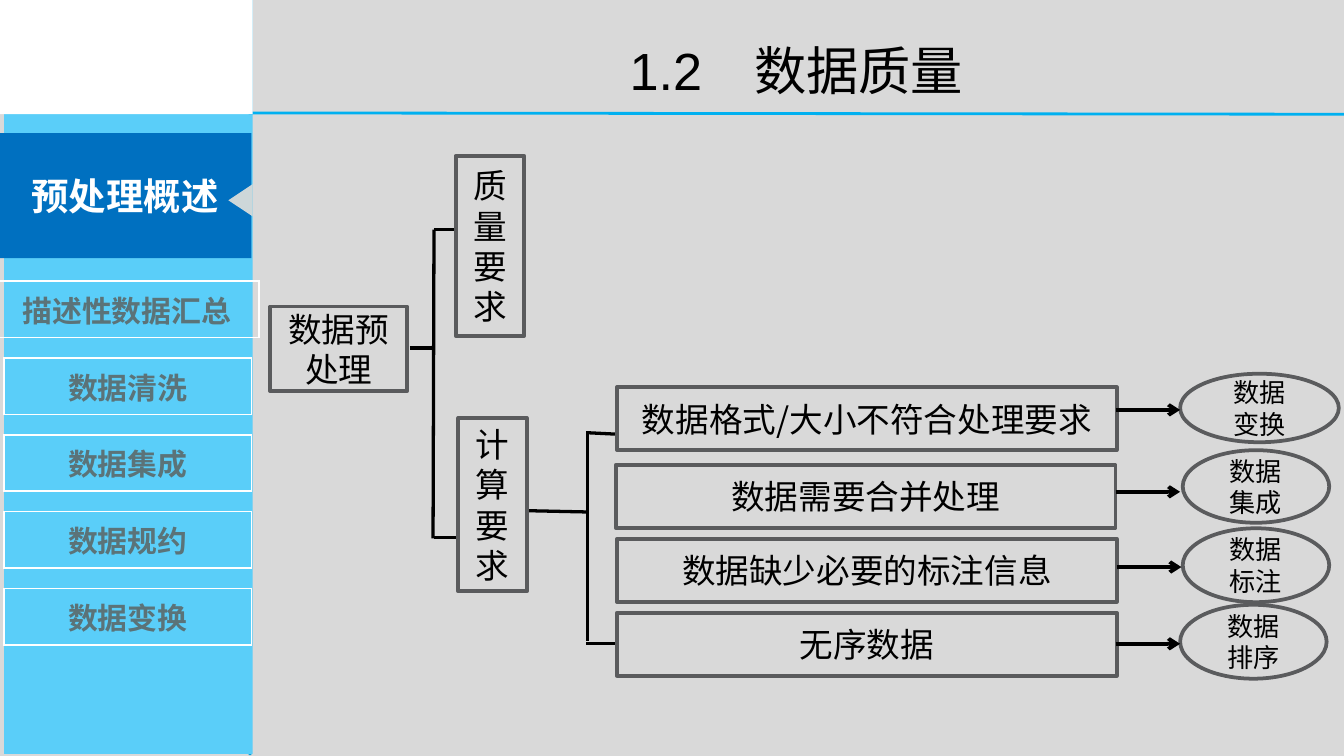
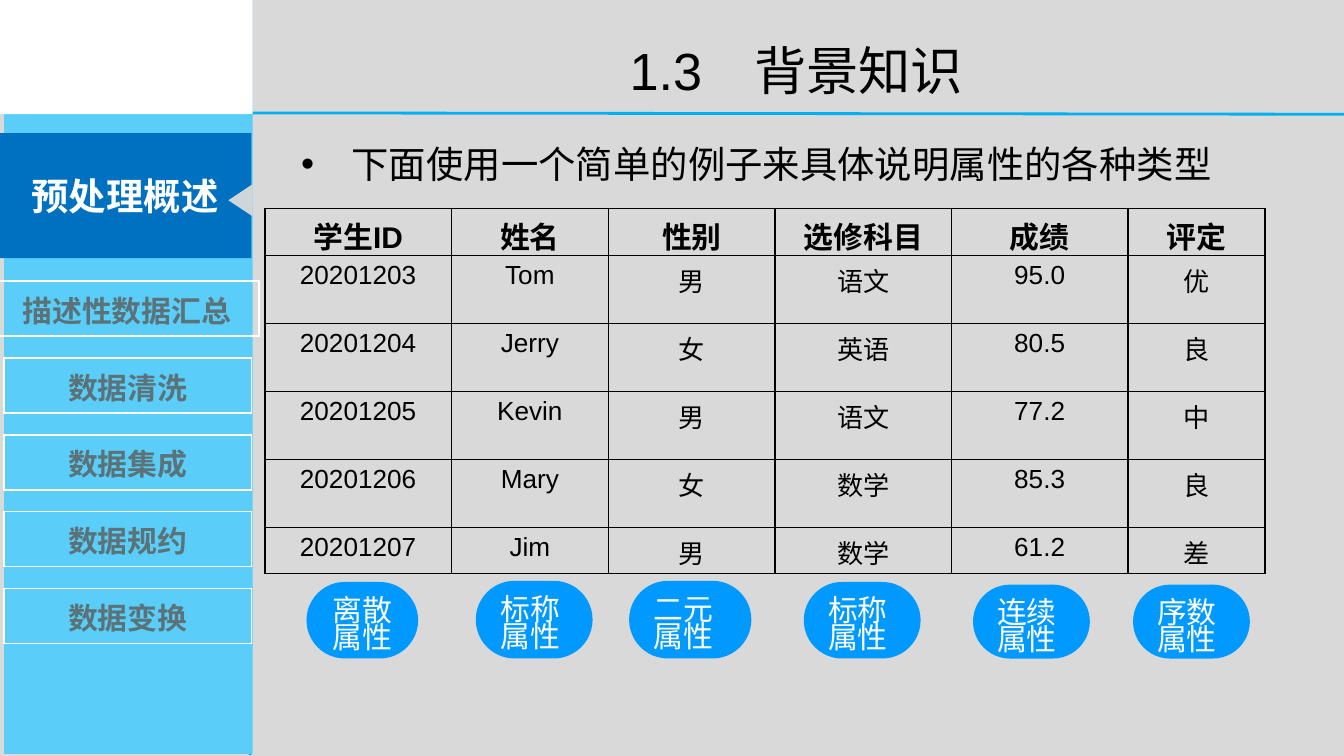
"""Build two slides about data preprocessing."""
from lxml import etree
from pptx import Presentation
from pptx.dml.color import RGBColor
from pptx.enum.dml import MSO_LINE
from pptx.enum.shapes import MSO_CONNECTOR, MSO_SHAPE
from pptx.enum.text import MSO_ANCHOR, MSO_AUTO_SIZE, PP_ALIGN
from pptx.oxml.ns import qn
from pptx.util import Pt

RECT, OVAL = MSO_SHAPE.RECTANGLE, MSO_SHAPE.OVAL
ROUND, WEDGE = MSO_SHAPE.ROUNDED_RECTANGLE, MSO_SHAPE.ISOSCELES_TRIANGLE
LEFT, MID = PP_ALIGN.LEFT, PP_ALIGN.CENTER
TOP, HALF = MSO_ANCHOR.TOP, MSO_ANCHOR.MIDDLE
STRAIGHT, DOTS = MSO_CONNECTOR.STRAIGHT, MSO_LINE.ROUND_DOT
FIT, FIXED = MSO_AUTO_SIZE.SHAPE_TO_FIT_TEXT, MSO_AUTO_SIZE.NONE
HAN, LATIN, KARLA = "Noto Sans CJK SC", "Arial", "Karla"
COLORS = {
    "back": "D9D9D9", "side": "5ACEF9", "rule": "00B0F0", "dots": "08A1D9",
    "band": "0070C0", "notch": "CDD7D9", "menu": "5B7378", "white": "FFFFFF",
    "black": "000000", "edge": "5A5B5D", "pill": "0099FF",
}
MENU = ["描述性数据汇总", "数据清洗", "数据集成", "数据规约", "数据变换"]


def tint(name):
    return RGBColor.from_string(COLORS[name])


def add(node, tag, **attrs):
    return etree.SubElement(node, qn(tag), **attrs)


def write(frame, text, tail="", tail_font=KARLA, size=18, font=HAN, color="black",
          bold=False, align=MID, anchor=HALF, space=None, bullet=None):
    """Fill a text frame, one paragraph a line, with an optional second run."""
    frame.word_wrap = True
    frame.vertical_anchor = anchor
    for i, row in enumerate(text.split("\n")):
        par = frame.add_paragraph() if i else frame.paragraphs[0]
        if bullet:
            props = par._p.get_or_add_pPr()
            props.set("marL", str(Pt(27)))
            props.set("indent", str(Pt(-27)))
            add(props, "a:buFont", typeface=LATIN)
            add(props, "a:buChar", char=bullet)
        par.alignment = align
        par.space_before = Pt(0)
        if space:
            par.line_spacing = space
        for part, face in ((row, font), (tail, tail_font)):
            if not part:
                continue
            run = par.add_run()
            run.text = part
            run.font.size = Pt(size)
            run.font.bold = bold
            run.font.color.rgb = tint(color)
            run.font.name = face
            add(run._r.get_or_add_rPr(), "a:ea", typeface=HAN)


class Deck:
    """Hold the style and the current slide."""

    def __init__(self):
        self.show = Presentation()
        self.show.slide_width, self.show.slide_height = Pt(720), Pt(405)

    def start(self, kind, title, tail=""):
        self.slide = self.show.slides.add_slide(self.show.slide_layouts[kind])
        fill = self.slide.background.fill
        fill.solid()
        fill.fore_color.rgb = tint("back")
        self.line(133.2, 60.5, 133.9, 404.6, color="dots", width=1.5, dash=DOTS)
        self.shape(RECT, 2.2, -0.7, 133.2, 404.6, fill="side")
        self.line(133.2, 60.5, 720, 61.2, color="rule", width=1.5)
        self.shape(RECT, -0.7, 71.3, 135.4, 67, "预处理概述", fill="band",
                   size=20, color="white", bold=True)
        self.shape(WEDGE, 120.2, 100.8, 17.3, 13, fill="notch").rotation = 270
        for i, item in enumerate(MENU):
            left, width = (2.2, 132.5) if i else (-2.9, 141.8)
            self.table(left, 150.5 + 41.2 * i, [width], [29.5], [[item]],
                       lambda row: dict(size=16, color="menu", bold=True))
        self.shape(RECT, -2.2, -2.2, 137.5, 63.4, fill="white")
        self.holder(self.slide.shapes.title, 133.2, 0, 586.8, 60.8, title,
                    tail=tail, size=28, space=1.5)

    def holder(self, box, left, top, width, height, text, fit=FIXED, **style):
        box.left, box.top, box.width, box.height = map(Pt, (left, top, width, height))
        write(box.text_frame, text, font=LATIN, anchor=TOP, **style)
        box.text_frame.auto_size = fit

    def list(self, left, top, width, height, text):
        self.holder(self.slide.placeholders[1], left, top, width, height, text,
                    fit=FIT, size=20, align=LEFT, bullet="•")

    def shape(self, kind, left, top, width, height, text="", fill=None, edge=None, **style):
        item = self.slide.shapes.add_shape(kind, *map(Pt, (left, top, width, height)))
        item.shadow.inherit = False
        if fill:
            item.fill.solid()
            item.fill.fore_color.rgb = tint(fill)
        else:
            item.fill.background()
        if edge:
            item.line.color.rgb = tint(edge)
            item.line.width = Pt(2)
        else:
            item.line.fill.background()
        if text:
            write(item.text_frame, text, **style)
        return item

    def line(self, x1, y1, x2, y2, color="black", width=1.75, dash=None, arrow=False):
        item = self.slide.shapes.add_connector(STRAIGHT, *map(Pt, (x1, y1, x2, y2)))
        item.line.color.rgb = tint(color)
        item.line.width = Pt(width)
        if dash:
            item.line.dash_style = dash
        if arrow:
            add(item.line._get_or_add_ln(), "a:tailEnd", type="arrow")
        add(item._element.spPr, "a:effectLst")

    def table(self, left, top, widths, heights, rows, style, grid=False):
        size = map(Pt, (left, top, sum(widths), sum(heights)))
        table = self.slide.shapes.add_table(len(rows), len(widths), *size).table
        table.first_row = table.horz_banding = False
        for col, width in zip(table.columns, widths):
            col.width = Pt(width)
        for i, (row, height) in enumerate(zip(rows, heights)):
            table.rows[i].height = Pt(height)
            for j, text in enumerate(row):
                cell = table.cell(i, j)
                if grid:
                    self.frame(cell)
                cell.fill.background()
                write(cell.text_frame, text, anchor=TOP, **style(i))

    def frame(self, cell):
        cell.margin_top = cell.margin_bottom = Pt(3)
        props = cell._tc.get_or_add_tcPr()
        for side in "LRTB":
            edge = add(props, f"a:ln{side}", w=str(Pt(1)))
            add(add(edge, "a:solidFill"), "a:srgbClr", val=COLORS["black"])


def draw_tree(deck):
    deck.start(5, "1.2　数据质量")
    for ends in (
        (232.5, 123, 232, 288.5), (219.6, 186.5, 232.5, 186.5),
        (232.5, 123, 245, 123), (232.5, 288, 245.5, 288),
        (283, 273.6, 314.6, 274.3), (314.6, 231.8, 314.6, 343.5),
        (314, 231.8, 330, 232.6), (314, 344.9, 330, 344.9),
    ):
        deck.line(*ends)
    for text, *place in (
        ("数据预处理", 144.7, 164.2, 73.4, 45.4),
        ("质量要求", 244.1, 83.5, 36.7, 96.5),
        ("计算要求", 245.5, 223.9, 36.7, 92.9),
    ):
        deck.shape(RECT, *place, text, edge="edge")
    for need, left, top, act, oval, y, x in (
        ("数据格式/大小不符合处理要求", 330.5, 207.4, "数据\n变换",
         (632.2, 200.2, 85, 36.7), 219.6, 597.6),
        ("数据需要合并处理", 329.8, 249.1, "数据集成",
         (633.6, 241.2, 78.5, 38.9), 263.5, 597.6),
        ("数据缺少必要的标注信息", 330.5, 288.7, "数据标注",
         (633.6, 283, 78.5, 39.6), 303.8, 598.3),
        ("无序数据", 330.5, 328.3, "数据排序",
         (632.2, 324, 78.5, 39.6), 344.9, 597.6),
    ):
        deck.shape(RECT, left, top, 267.8, 33.8, need, edge="edge")
        deck.shape(OVAL, *oval, act, edge="edge", size=14)
        deck.line(x, y, x + 34.6, y, width=2, arrow=True)


def draw_grades(deck):
    deck.start(1, "1.3　", tail="背景知识")
    rows = [
        ["学生ID", "姓名", "性别", "选修科目", "成绩", "评定"],
        ["20201203", "Tom", "男", "语文", "95.0", "优"],
        ["20201204", "Jerry", "女", "英语", "80.5", "良"],
        ["20201205", "Kevin", "男", "语文", "77.2", "中"],
        ["20201206", "Mary", "女", "数学", "85.3", "良"],
        ["20201207", "Jim", "男", "数学", "61.2", "差"],
    ]
    deck.table(142, 111.6, [99.8, 84.2, 89.3, 94.5, 94.5, 73.4],
               [21.6] + [36.5] * 4 + [24.5], rows,
               lambda row: dict(font=LATIN, size=14 if row else 16, bold=not row),
               grid=True)
    for kind, left, top, width, align in (
        ("离散", 164.2, 311.8, 59.8, MID), ("二元", 337, 311.2, 65.5, LEFT),
        ("标称", 254.9, 311.2, 62.6, LEFT), ("标称", 430.6, 311.8, 62.6, LEFT),
        ("连续", 521.3, 313.2, 62.6, LEFT), ("序数", 607, 313.2, 62.6, LEFT),
    ):
        pill = deck.shape(ROUND, left, top, width, 352.8 - top, kind + "属性",
                          fill="pill", size=16, color="white", align=align,
                          anchor=TOP, space=0.75)
        pill.adjustments[0] = 0.5
    deck.list(154.1, 72, 537.1, 31.7, "下面使用一个简单的例子来具体说明属性的各种类型")


def main():
    deck = Deck()
    draw_tree(deck)
    draw_grades(deck)
    deck.show.save("out.pptx")


if __name__ == "__main__":
    main()
